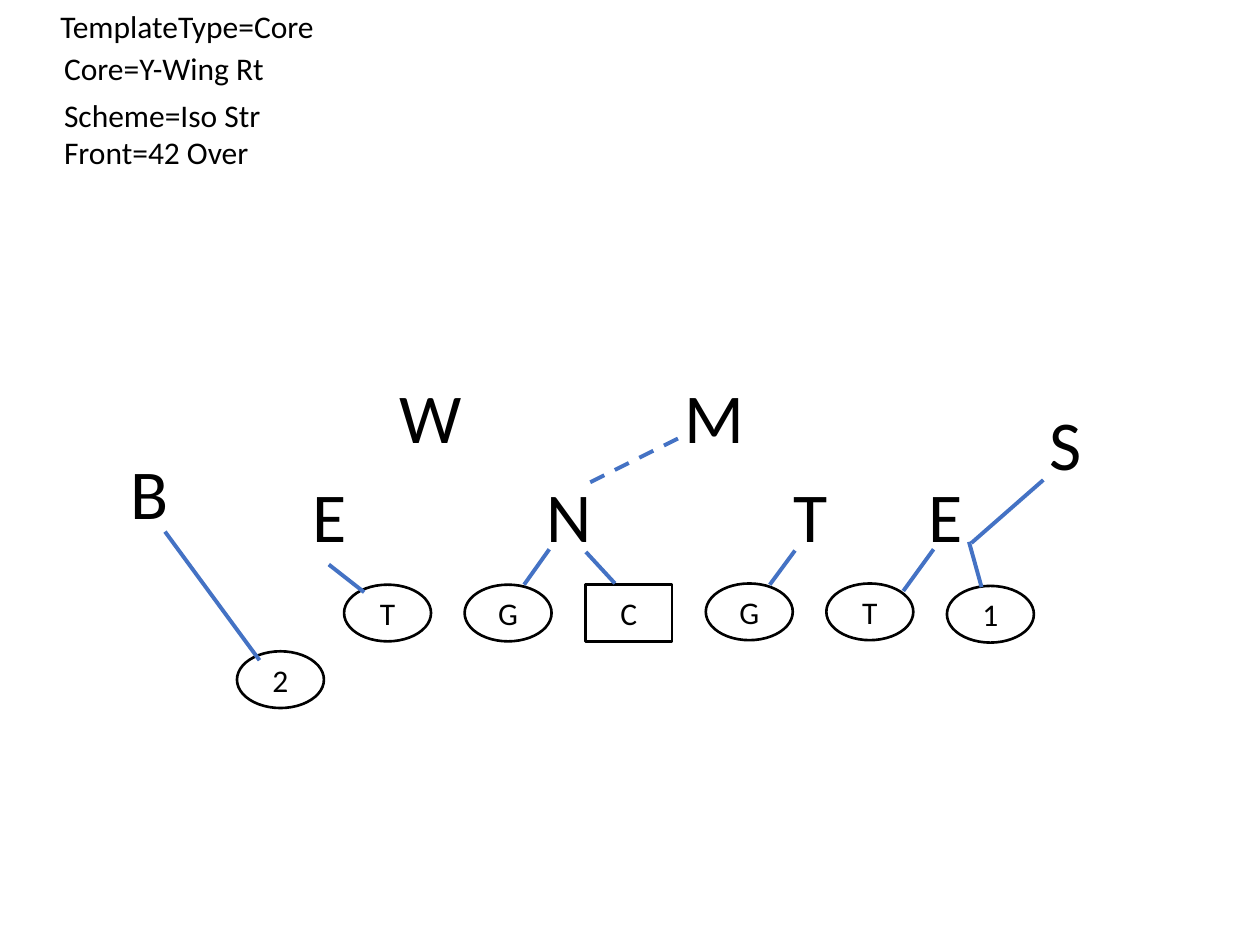
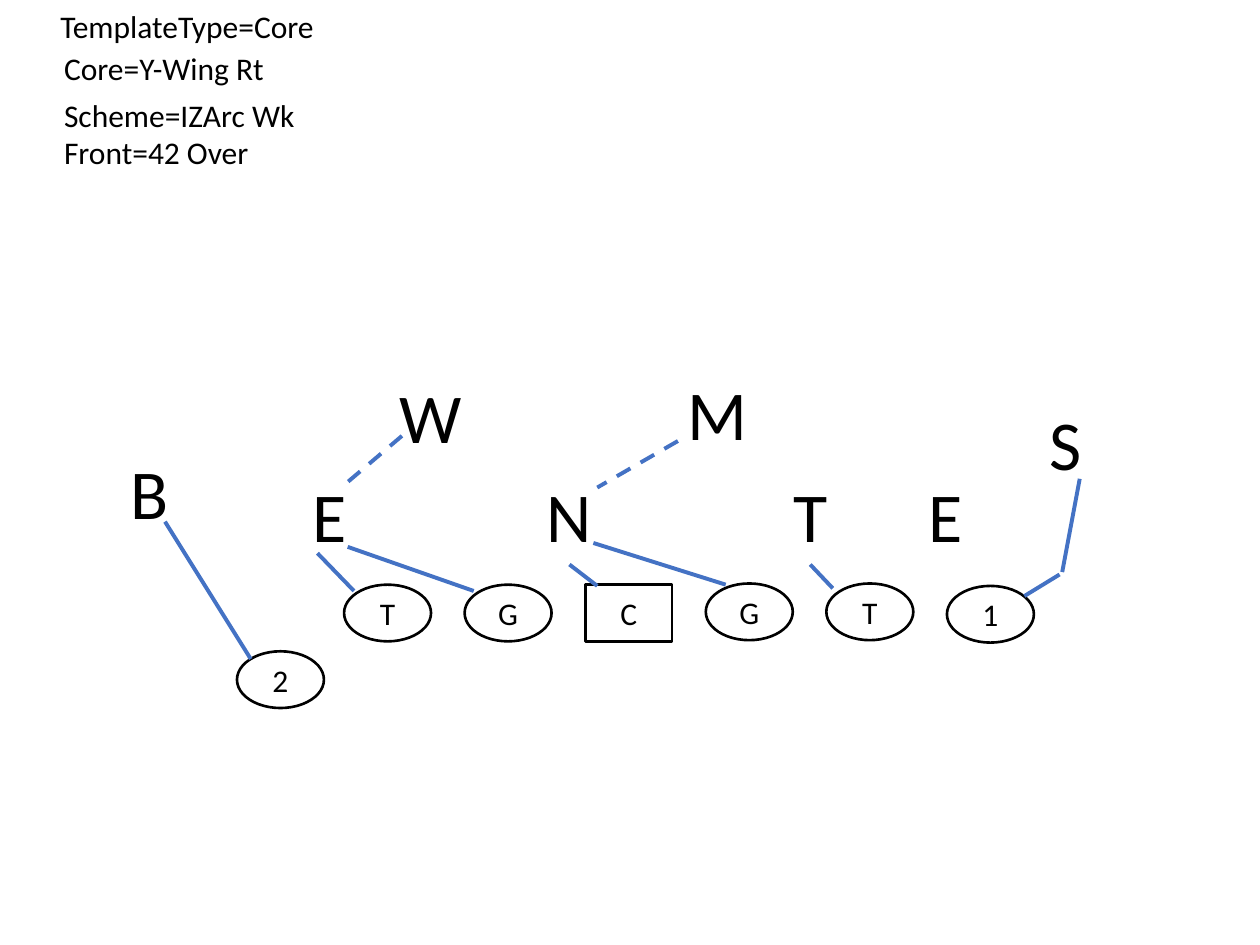
from collections import namedtuple
from dataclasses import dataclass

from lxml.etree import SubElement
from pptx import Presentation
from pptx.dml.color import RGBColor as Rgb
from pptx.enum.dml import MSO_LINE_DASH_STYLE as Dash
from pptx.enum.shapes import MSO_CONNECTOR_TYPE as Connector
from pptx.enum.shapes import MSO_SHAPE as Preset
from pptx.enum.text import MSO_ANCHOR as Anchor
from pptx.enum.text import MSO_AUTO_SIZE as AutoSize
from pptx.enum.text import PP_ALIGN as Align
from pptx.oxml.ns import qn
from pptx.util import Pt

Box = namedtuple("Box", "left top width height")
Player = namedtuple("Player", "letter left top width")


@dataclass(frozen=True)
class Theme:
    font: str = "Calibri"
    ink: Rgb = Rgb(0, 0, 0)
    paper: Rgb = Rgb(255, 255, 255)
    block: Rgb = Rgb(0x44, 0x72, 0xC4)
    label_size: float = 18
    defender_size: float = 40
    outline: float = 1.5
    block_width: float = 2.25


THEME = Theme()
HEADER = Box(27.4, 0.7, 161.3, 101)
FIELD = Box(60, 200, 580, 205)

LABEL_HEIGHT = 28.8
DEFENDER_HEIGHT = 55.4
SPOT_WIDTH, SPOT_HEIGHT = 49.7, 32.4
LINE_LEFT, LINE_PITCH = 136.6, 68.9
LINEMEN = [("T", 134.1), ("G", 134.1), ("C", 134.1),
           ("G", 133.4), ("T", 133.4), ("1", 134.8)]
WING = ("2", 75.4, 172.2)

FRONT = [
    Player("B", 7.7, 53.4, 36.7),
    Player("E", 111.4, 66.4, 34.6),
    Player("W", 161, 10.2, 50.4),
    Player("N", 245.3, 66.4, 40.3),
    Player("T", 386.4, 66.4, 34.6),
    Player("E", 463.4, 66.4, 34.6),
    Player("S", 532.6, 25.4, 34.6),
]

PLAYS = [
    {
        "scheme": ("Scheme=Iso Str", 128.2),
        "mike": Player("M", 323.8, 10.2, 50.4),
        "blocks": [
            (34.3, 103.8, 88.3, 177.3),
            (127.9, 122.6, 148.1, 138.4),
            (253.9, 113.9, 239.5, 134.1),
            (274.8, 115.4, 291.4, 133.4),
            (394.3, 114.6, 379.9, 134.1),
            (473.5, 113.9, 456.2, 137.7),
            (493.7, 109.6, 500.9, 135.5),
            (495.1, 110.3, 536.2, 74.3),
        ],
        "reads": [(327.4, 50.6, 272.6, 77.9)],
    },
    {
        "scheme": ("Scheme=IZArc Wk", 147.6),
        "mike": Player("M", 325.9, 8.1, 50.4),
        "blocks": [
            (34.3, 98.1, 83.3, 176.6),
            (121.4, 116.1, 142.3, 137.7),
            (138.7, 112.5, 210.7, 137.7),
            (265.4, 122.6, 281.3, 134.8),
            (279.1, 110.3, 354.7, 134.1),
            (403, 122.6, 415.9, 136.2),
            (545.5, 128.3, 525.4, 140.6),
            (557, 73.6, 547, 126.9),
        ],
        "reads": [(169.7, 49.1, 135.8, 77.9), (327.4, 52, 281.3, 78.6)],
    },
]


def apply(target, formats):
    for name, value in formats.items():
        setattr(target, name, value)


def within(box, left, top, width, height):
    return [Pt(v) for v in (box.left + left, box.top + top, width, height)]


def write(frame, words, size, align):
    paragraph = frame.paragraphs[0]
    paragraph.alignment = align
    run = paragraph.add_run()
    run.text = words
    apply(run.font, {"name": THEME.font, "size": Pt(size)})
    run.font.color.rgb = THEME.ink


def add_words(slide, place, words, size):
    frame = slide.shapes.add_textbox(*place).text_frame
    apply(frame, {"word_wrap": False, "auto_size": AutoSize.SHAPE_TO_FIT_TEXT})
    write(frame, words, size, Align.LEFT)


def add_spot(slide, box, letter, left, top):
    preset = Preset.RECTANGLE if letter == "C" else Preset.OVAL
    spot = slide.shapes.add_shape(
        preset, *within(box, left, top, SPOT_WIDTH, SPOT_HEIGHT))
    spot.shadow.inherit = False
    spot.fill.solid()
    spot.fill.fore_color.rgb = THEME.paper
    spot.line.color.rgb = THEME.ink
    spot.line.width = Pt(THEME.outline)
    spot.text_frame.vertical_anchor = Anchor.MIDDLE
    write(spot.text_frame, letter, THEME.label_size, Align.CENTER)


def add_assignment(slide, box, route, dash):
    x1, y1, x2, y2 = route
    assignment = slide.shapes.add_connector(
        Connector.STRAIGHT,
        Pt(box.left + x1), Pt(box.top + y1),
        Pt(box.left + x2), Pt(box.top + y2))
    assignment.line.color.rgb = THEME.block
    apply(assignment.line, {"width": Pt(THEME.block_width), "dash_style": dash})
    SubElement(assignment._element.spPr, qn("a:effectLst"))


def draw_header(slide, box, scheme):
    labels = [
        ("TemplateType=Core", 0, 0, box.width),
        ("Core=Y-Wing Rt", 2.1, 23.8, 131),
        (scheme[0], 2.1, 50.4, scheme[1]),
        ("Front=42 Over", 2.1, 72, 121),
    ]
    for words, left, top, width in labels:
        place = within(box, left, top, width, LABEL_HEIGHT)
        add_words(slide, place, words, THEME.label_size)


def draw_offense(slide, box):
    for position, (letter, top) in enumerate(LINEMEN):
        add_spot(slide, box, letter, LINE_LEFT + position * LINE_PITCH, top)
    add_spot(slide, box, *WING)


def draw_defense(slide, box, mike):
    for player in [*FRONT, mike]:
        place = within(box, player.left, player.top, player.width, DEFENDER_HEIGHT)
        add_words(slide, place, player.letter, THEME.defender_size)


def draw_assignments(slide, box, blocks, reads):
    for routes, dash in ((blocks, None), (reads, Dash.DASH)):
        for route in routes:
            add_assignment(slide, box, route, dash)


def add_play(deck, play):
    slide = deck.slides.add_slide(deck.slide_layouts.get_by_name("Blank"))
    draw_header(slide, HEADER, play["scheme"])
    draw_offense(slide, FIELD)
    draw_defense(slide, FIELD, play["mike"])
    draw_assignments(slide, FIELD, play["blocks"], play["reads"])


def main():
    deck = Presentation()
    apply(deck, {"slide_width": Pt(720), "slide_height": Pt(540)})
    for play in PLAYS:
        add_play(deck, play)
    deck.save("out.pptx")


if __name__ == "__main__":
    main()
